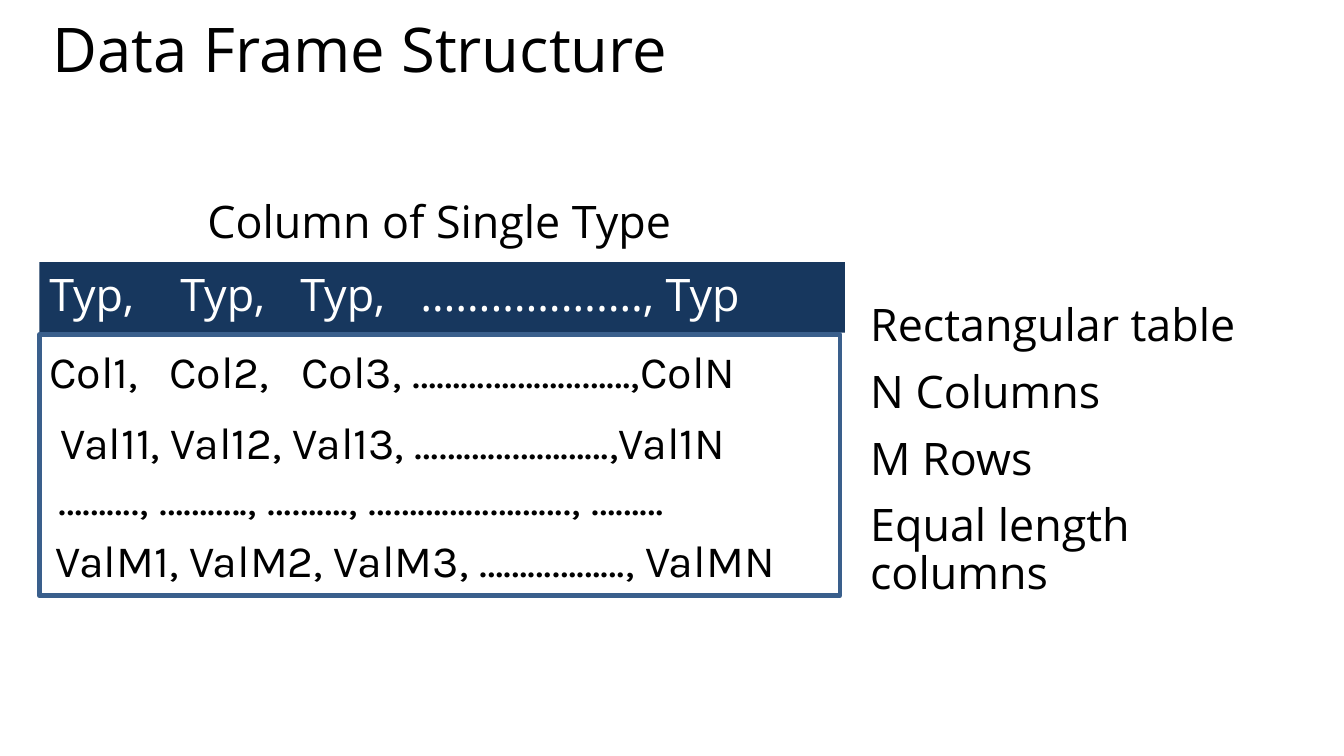
from lxml.etree import SubElement
from pptx import Presentation
from pptx.dml.color import RGBColor
from pptx.enum.shapes import MSO_SHAPE as Shape
from pptx.enum.text import MSO_ANCHOR as Anchor, PP_ALIGN as Align
from pptx.oxml.ns import qn
from pptx.util import Inches, Pt

BLACK, WHITE, NAVY, BLUE = "000000", "FFFFFF", "17375E", "3A5F8C"
SANS, ROW_FONT = "Open Sans", "Karla"


def color(hex_code):
    """Turn a hex string into a colour."""
    return RGBColor.from_string(hex_code)


def place(item, box):
    """Move an item to a (left, top, width, height) box in inches."""
    item.left, item.top, item.width, item.height = map(Inches, box)


def write(item, text, size=32, font=SANS, ink=BLACK, align=Align.LEFT,
          anchor=Anchor.MIDDLE, spacing=0.9, before=14):
    """Fill an item with text and format every paragraph alike."""
    frame = item.text_frame
    frame.text = text
    frame.word_wrap = True
    frame.vertical_anchor = anchor
    for para in frame.paragraphs:
        para.alignment, para.line_spacing = align, spacing
        para.space_before = Pt(before)
        for span in para.runs:
            span.font.size, span.font.name = Pt(size), font
            span.font.color.rgb = color(ink)


def set_tabs(item, stops):
    """Give the first paragraph left tab stops, in inches."""
    properties = item.text_frame.paragraphs[0]._p.get_or_add_pPr()
    tab_list = SubElement(properties, qn("a:tabLst"))
    for stop in stops:
        SubElement(tab_list, qn("a:tab"), pos=str(Inches(stop)), algn="l")


def add_text(page, box, text, **style):
    """Add a text box."""
    item = page.shapes.add_textbox(*map(Inches, box))
    write(item, text, **style)
    return item


def add_rectangle(page, box):
    """Add a rectangle without fill, line or shadow."""
    item = page.shapes.add_shape(Shape.RECTANGLE, *map(Inches, box))
    item.shadow.inherit = False
    item.fill.background()
    item.line.fill.background()
    return item


def add_title(page, box):
    """Fill the title placeholder."""
    place(page.shapes.title, box)
    write(page.shapes.title, "Data Frame Structure", size=44,
          anchor=Anchor.TOP, spacing=0.8, before=0)


def add_facts(page, box):
    """Fill the body placeholder with the facts, without bullets."""
    body = page.placeholders[1]
    place(body, box)
    write(body, "Rectangular table\nN Columns\nM Rows\nEqual length columns",
          anchor=Anchor.TOP, spacing=0.88)
    for para in body.text_frame.paragraphs:
        properties = para._p.get_or_add_pPr()
        properties.set("marL", "0")
        properties.set("indent", "0")
        SubElement(properties, qn("a:buNone"))


def add_data_frame(page, box):
    """Draw the caption, the type header and the framed value rows."""
    left, top, width, height = box
    add_text(page, (left, top, width, 0.75), "Column of Single Type",
             align=Align.CENTER)

    header = add_rectangle(page, (left, top + 0.75, width + 0.05, 0.7))
    header.fill.solid()
    header.fill.fore_color.rgb = color(NAVY)
    write(header, "Typ,\tTyp,\tTyp,\t…………….…, Typ", ink=WHITE)
    set_tabs(header, (1.3, 2.49, 3.68))

    frame_top = top + 1.47
    frame = add_rectangle(page, (left, frame_top, width, height - 1.47))
    frame.line.color.rgb = color(BLUE)
    frame.line.width = Pt(3.25)

    rows = [
        (0, 0.01, "Col1,\tCol2,\tCol3, ………………………,ColN"),
        (0.11, 0.71, "Val11, Val12, Val13, ……………………,Val1N"),
        (0.09, 1.27, "………., ……….., ………., ……………………., ………"),
        (0.06, 1.88, "ValM1, ValM2, ValM3, ………………, ValMN"),
    ]
    for shift, drop, text in rows:
        row = add_text(page, (left + shift, frame_top + drop, 7.88, 0.7),
                       text, font=ROW_FONT, spacing=1.0)
        if "\t" in text:
            set_tabs(row, (1.19, 2.5))


deck = Presentation()
deck.slide_width, deck.slide_height = Inches(13.33), Inches(7.5)
page = deck.slides.add_slide(deck.slide_layouts[1])
add_title(page, (0.42, 0.2, 12.6, 1.16))
add_data_frame(page, (0.39, 1.85, 7.94, 4.06))
add_facts(page, (8.53, 2.96, 4.6, 2.95))
deck.save("out.pptx")
